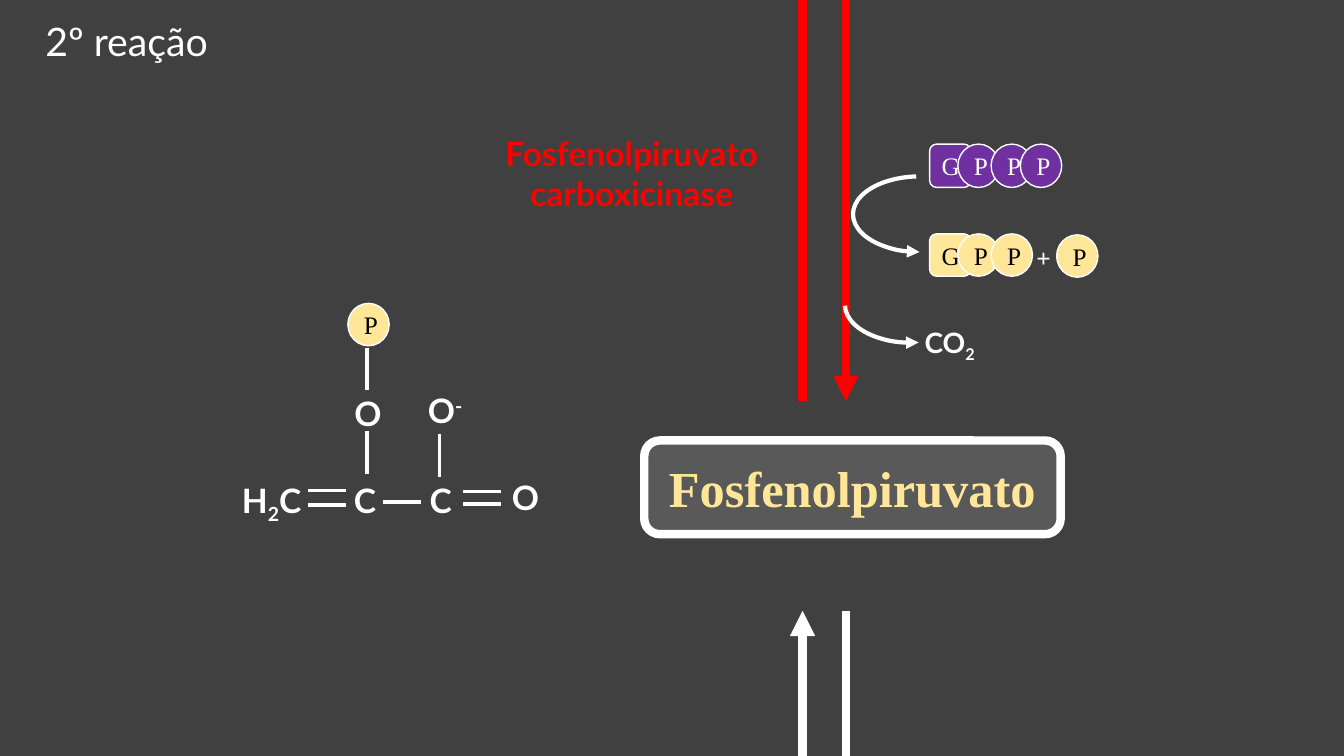
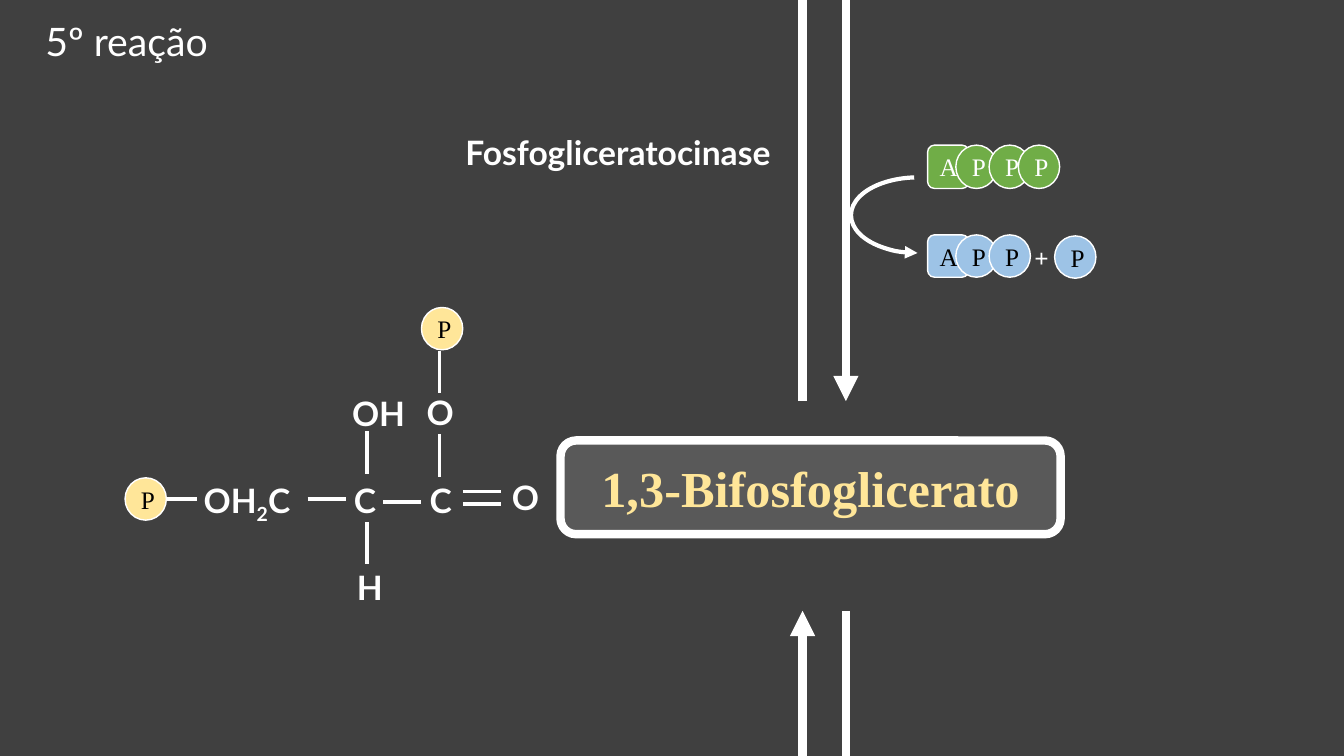
"""Build two metabolic reaction slides with structural formulas and cofactors."""
from dataclasses import dataclass

from lxml import etree
from pptx import Presentation
from pptx.dml.color import RGBColor
from pptx.enum.shapes import MSO_CONNECTOR, MSO_SHAPE
from pptx.enum.text import MSO_ANCHOR, MSO_AUTO_SIZE, PP_ALIGN
from pptx.oxml.ns import qn
from pptx.util import Inches, Pt

ROUNDED, ELLIPSE, ARC = MSO_SHAPE.ROUNDED_RECTANGLE, MSO_SHAPE.OVAL, MSO_SHAPE.ARC
STRAIGHT = MSO_CONNECTOR.STRAIGHT
CENTER, RIGHT = PP_ALIGN.CENTER, PP_ALIGN.RIGHT
TOP, MIDDLE = MSO_ANCHOR.TOP, MSO_ANCHOR.MIDDLE
FIXED, GROW = MSO_AUTO_SIZE.NONE, MSO_AUTO_SIZE.SHAPE_TO_FIT_TEXT

COLORS = {
    "background": "404040", "panel": "595959", "white": "FFFFFF", "black": "000000",
    "red": "FF0000", "yellow": "FFE699", "purple": "7030A0", "green": "70AD47",
    "blue": "9DC3E6",
}
SANS, SERIF = "Lato", "Times New Roman"
CELL = Inches(0.1)
COLUMNS, ROWS = 133.3, 75
LEFT_RAIL, RIGHT_RAIL = 79.6, 83.9
RAIL_END, RAIL_START = 39.8, 60.6
BADGE_COLUMNS = 4.1
BADGE_OFFSETS = (0, 2.8, 6.1, 9)
SUBSCRIPT, SUPERSCRIPT = -25000, 30000


@dataclass(frozen=True)
class Label:
    """Text in a box, as (text, baseline) runs."""
    column: float
    row: float
    runs: tuple[tuple[str, int], ...]
    columns: float = 5.2
    rows: float = 5
    size: float = 24
    color: str = "white"
    font: str = SANS
    align: PP_ALIGN = CENTER


@dataclass(frozen=True)
class Bond:
    """A chemical bond starting at a grid point."""
    column: float
    row: float
    columns: float = 0
    rows: float = 0


@dataclass(frozen=True)
class Cofactor:
    """A triphosphate that turns into a diphosphate plus phosphate."""
    letter: str
    column: float
    row: float
    fill: str
    spent_fill: str


@dataclass(frozen=True)
class Reaction:
    """Everything that differs between reaction slides."""
    title: str
    metabolite: str
    metabolite_column: float
    rail_color: str
    cofactor: Cofactor
    labels: tuple[Label, ...]
    bonds: tuple[Bond, ...]
    phosphates: tuple[tuple[float, float], ...]
    releases_gas: bool = False


def plain(text: str) -> tuple[tuple[str, int], ...]:
    """Wrap a text as one run on the baseline."""
    return ((text, 0),)


def horizontal(column: float, row: float, columns: float = 3.8) -> Bond:
    """Make a horizontal bond."""
    return Bond(column, row, columns=columns)


def vertical(column: float, row: float) -> Bond:
    """Make a vertical bond."""
    return Bond(column, row, rows=4.2)


SHARED_LABELS = (
    Label(33.6, 47.1, plain("C")),
    Label(41.1, 47.1, plain("C")),
    Label(49.5, 46.8, plain("O")),
)
SHARED_BONDS = (
    vertical(36.4, 42.8), vertical(43.6, 43.1), horizontal(38, 49.8),
    horizontal(45.9, 48.8), horizontal(45.9, 50),
)
REACTIONS = (
    Reaction(
        "2º reação", "Fosfenolpiruvato", 63.9, "red",
        Cofactor("G", 92.2, 14.3, "purple", "yellow"),
        (
            Label(22.6, 47.1, (("H", 0), ("2", SUBSCRIPT), ("C", 0)), 8.7),
            Label(33.9, 38.5, plain("O")),
            Label(41.2, 38.2, (("O", 0), ("-", SUPERSCRIPT)), 5.9),
            Label(45.5, 12.7, plain("Fosfenolpiruvato carboxicinase"), 34.3, 9.1,
                  color="red"),
            Label(89, 31.8, (("CO", 0), ("2", SUBSCRIPT)), 10.4, 4.4, 20),
        ),
        (horizontal(30.5, 48.7), horizontal(30.5, 50.1), vertical(36.4, 34.5)),
        ((34.5, 30.1),),
        True,
    ),
    Reaction(
        "5º reação", "1,3-Bifosfoglicerato", 55.6, "white",
        Cofactor("A", 92, 14.4, "green", "blue"),
        (
            Label(17.7, 47.1, (("OH", 0), ("2", SUBSCRIPT), ("C", 0)), 13.6),
            Label(33.9, 38.5, plain("OH"), 7.3),
            Label(40.7, 38.4, plain("O"), 5.9),
            Label(34.4, 55.8, plain("H"), 3.9),
            Label(40, 12.6, plain("Fosfogliceratocinase"), 37.4, align=RIGHT),
        ),
        (horizontal(16.1, 49.5, 3.4), horizontal(30.5, 49.5),
         vertical(36.4, 51.8), vertical(43.6, 34.8)),
        ((12.4, 47.4), (41.8, 30.5)),
    ),
)


def grid(*cells: float) -> list[int]:
    """Convert grid cells to lengths."""
    return [round(cell * CELL) for cell in cells]


def rgb(name: str) -> RGBColor:
    """Look up a palette colour."""
    return RGBColor.from_string(COLORS[name])


def format_text(frame, label: Label, bold: bool, anchor: MSO_ANCHOR,
                auto_size: MSO_AUTO_SIZE) -> None:
    """Write a label into a text frame."""
    frame.word_wrap, frame.auto_size, frame.vertical_anchor = True, auto_size, anchor
    paragraph = frame.paragraphs[0]
    paragraph.alignment = label.align
    font = paragraph.font
    font.name, font.size, font.bold = label.font, Pt(label.size), bold
    font.color.rgb = rgb(label.color)
    for text, baseline in label.runs:
        run = paragraph.add_run()
        run.text = text
        if baseline:
            run._r.get_or_add_rPr().set("baseline", str(baseline))


def add_label(shapes, label: Label) -> None:
    """Draw a bold text box."""
    box = shapes.add_textbox(*grid(label.column, label.row, label.columns, label.rows))
    format_text(box.text_frame, label, True, TOP, GROW)


def add_panel(shapes, kind: MSO_SHAPE, label: Label, fill: str, width: float,
              bold: bool = False) -> None:
    """Draw a filled, outlined shape with centred text."""
    shape = shapes.add_shape(
        kind, *grid(label.column, label.row, label.columns, label.rows))
    shape.shadow.inherit = False
    shape.fill.solid()
    shape.fill.fore_color.rgb = rgb(fill)
    shape.line.color.rgb, shape.line.width = rgb("white"), Pt(width)
    format_text(shape.text_frame, label, bold, MIDDLE, FIXED)


def add_badge(shapes, letter: str, column: float, row: float, fill: str,
              color: str = "black", rows: float = 4.2) -> None:
    """Draw a phosphate circle or the rounded square of a nucleoside."""
    label = Label(column, row, plain(letter), BADGE_COLUMNS, rows, 18, color, SERIF)
    add_panel(shapes, ELLIPSE if letter == "P" else ROUNDED, label, fill, 1)


def add_arrowhead(shape, end: str) -> None:
    """Put a triangle at the head or tail end of a line."""
    line = shape.line._get_or_add_ln()
    etree.SubElement(line, qn(f"a:{end}"), type="triangle")


def add_line(shapes, start: tuple[float, float], end: tuple[float, float],
             color: str, width: float, arrow: bool = False) -> None:
    """Draw a straight line, with an arrowhead at its end if asked."""
    connector = shapes.add_connector(STRAIGHT, *grid(*start, *end))
    connector.line.color.rgb, connector.line.width = rgb(color), Pt(width)
    if arrow:
        add_arrowhead(connector, "tailEnd")
    etree.SubElement(connector._element.spPr, qn("a:effectLst"))


def add_curve(shapes, column: float, row: float, start: float, end: float) -> None:
    """Draw a curved arrow turned half round."""
    curve = shapes.add_shape(ARC, *grid(column, row, 13.2, 7.5))
    curve.rotation = 180
    curve.adjustments[0], curve.adjustments[1] = start, end
    curve.fill.background()
    curve.line.color.rgb, curve.line.width = rgb("white"), Pt(3)
    add_arrowhead(curve, "headEnd")
    curve.shadow.inherit = False


def add_rails(shapes, color: str) -> None:
    """Draw the opposed reaction lines above and below the metabolite."""
    add_line(shapes, (RIGHT_RAIL, 0), (RIGHT_RAIL, RAIL_END), color, 6, True)
    add_line(shapes, (LEFT_RAIL, RAIL_END), (LEFT_RAIL, 0), color, 6)
    add_line(shapes, (RIGHT_RAIL, RAIL_START), (RIGHT_RAIL, ROWS), "white", 6)
    add_line(shapes, (LEFT_RAIL, ROWS), (LEFT_RAIL, RAIL_START), "white", 6, True)


def add_cofactor(shapes, cofactor: Cofactor) -> None:
    """Draw the nucleotide before and after it reacts, and the arrow between."""
    column, row = cofactor.column, cofactor.row
    full = shapes.add_group_shape().shapes
    for letter, offset in zip(cofactor.letter + "PPP", BADGE_OFFSETS):
        add_badge(full, letter, column + offset, row, cofactor.fill, "white", 4.3)
    spent = shapes.add_group_shape().shapes
    for letter, offset in zip(cofactor.letter + "PP", BADGE_OFFSETS):
        add_badge(spent, letter, column + offset, row + 8.9, cofactor.spent_fill)
    add_badge(spent, "P", column + 12.6, row + 9, cofactor.spent_fill)
    add_label(spent, Label(column + 9.6, row + 9.2, plain("+"), 3.4, 2.6, 18,
                           font=SERIF))
    add_curve(shapes, column - 7.6, row + 3.2, 162, 50.98)


def add_reaction(presentation, reaction: Reaction) -> None:
    """Build the slide of one reaction."""
    slide = presentation.slides.add_slide(presentation.slide_layouts[5])
    shapes = slide.shapes
    title = shapes.title
    title.left, title.top, title.width, title.height = grid(0.2, 1.2, 24.7, 5.7)
    format_text(title.text_frame, Label(0.2, 1.2, plain(reaction.title), size=28),
                False, TOP, FIXED)
    left = reaction.metabolite_column
    metabolite = Label(left, 43.7, plain(reaction.metabolite), 105.2 - left, 9.3, 36,
                       "yellow", SERIF)
    add_panel(shapes, ROUNDED, metabolite, "panel", 6, True)
    add_rails(shapes, reaction.rail_color)
    add_cofactor(shapes, reaction.cofactor)
    if reaction.releases_gas:
        add_curve(shapes, 83.8, 26.5, 155.56, 215.58)
    for bond in SHARED_BONDS + reaction.bonds:
        add_line(shapes, (bond.column, bond.row),
                 (bond.column + bond.columns, bond.row + bond.rows), "white", 2.25)
    for label in SHARED_LABELS + reaction.labels:
        add_label(shapes, label)
    for column, row in reaction.phosphates:
        add_badge(shapes, "P", column, row, "yellow")


def main() -> None:
    """Build and save the presentation."""
    presentation = Presentation()
    presentation.slide_width, presentation.slide_height = grid(COLUMNS, ROWS)
    background = presentation.slide_master.background.fill
    background.solid()
    background.fore_color.rgb = rgb("background")
    for reaction in REACTIONS:
        add_reaction(presentation, reaction)
    presentation.save("out.pptx")


if __name__ == "__main__":
    main()
